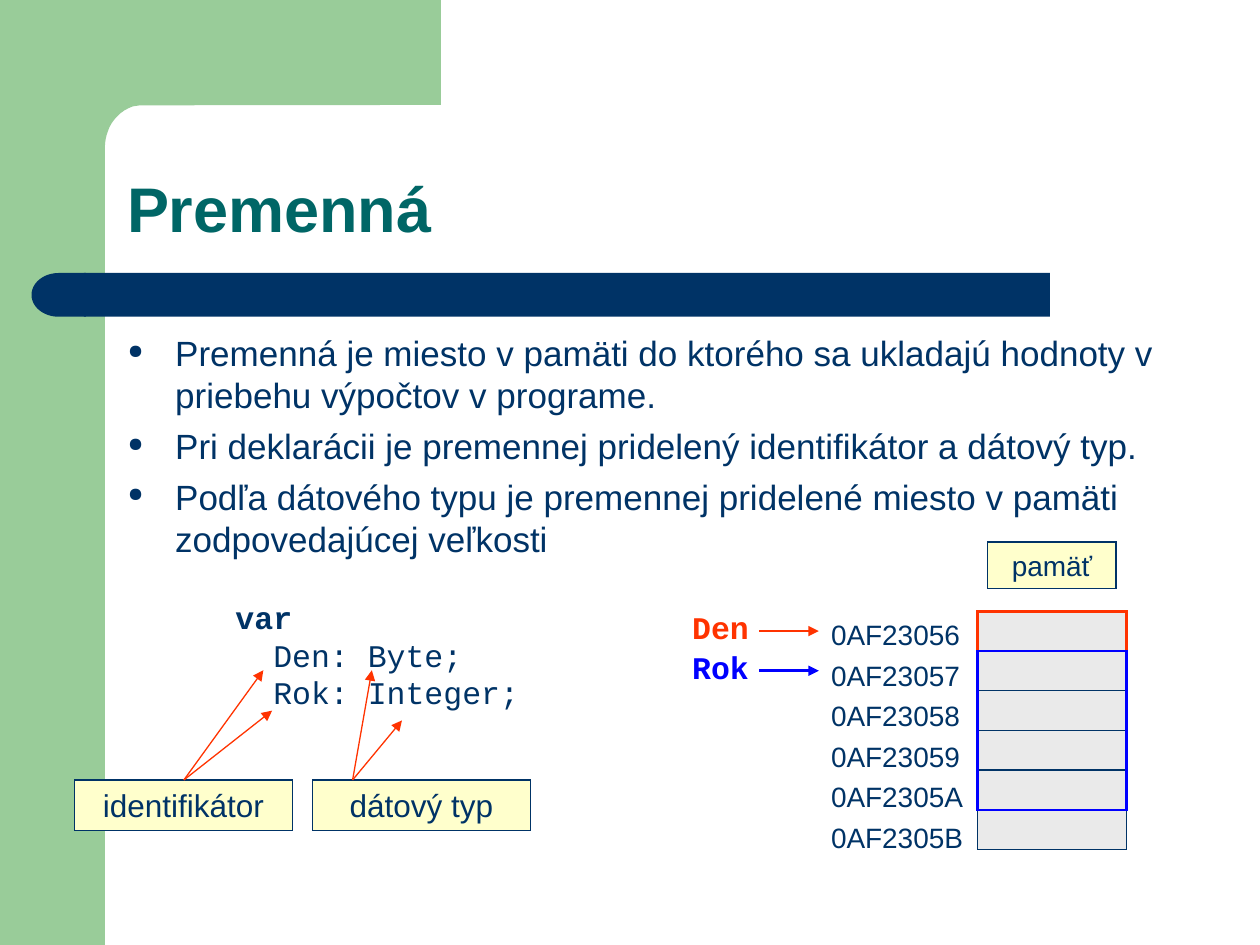
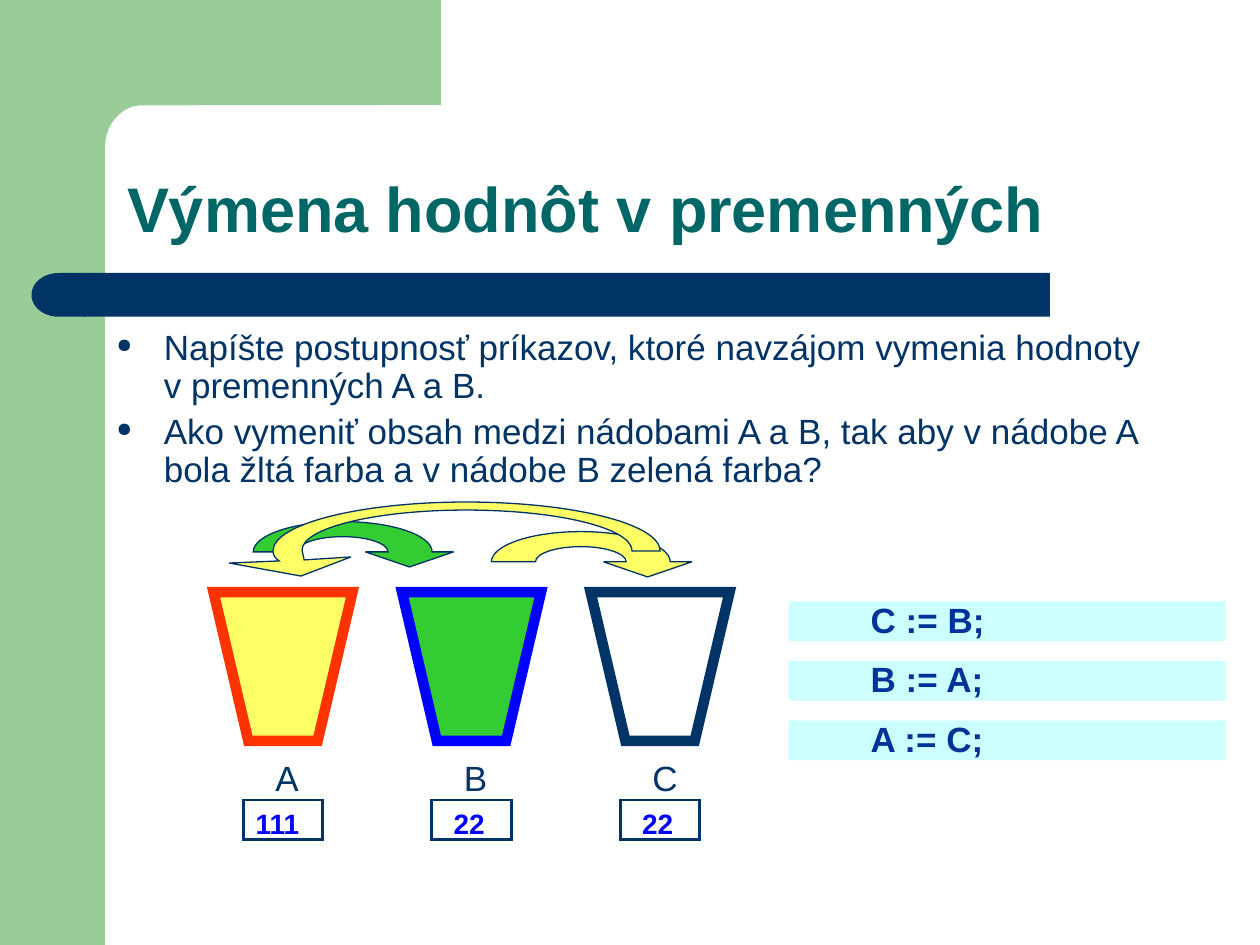
from lxml.etree import SubElement
from pptx import Presentation
from pptx.dml.color import RGBColor
from pptx.enum.shapes import MSO_CONNECTOR, MSO_SHAPE
from pptx.enum.text import MSO_ANCHOR, PP_ALIGN
from pptx.oxml.ns import qn
from pptx.util import Pt

COLORS = {
    "band": "99CC99", "navy": "003366", "title": "006666", "label": "FFFFCC",
    "red": "FF3300", "blue": "0000FF", "cell": "EAEAEA", "yellow": "FFFF66",
    "green": "33CC33", "white": "FFFFFF", "command": "CCFFFF", "code": "003399",
}
STYLES = {
    "title": {"name": "Arial", "size": Pt(36), "bold": True},
    "body": {"name": "Arial", "size": Pt(20), "bold": False},
    "command": {"name": "Arial", "size": Pt(20), "bold": True},
    "label": {"name": "Arial", "size": Pt(18), "bold": False},
    "memory": {"name": "Arial", "size": Pt(16), "bold": False},
    "value": {"name": "Arial", "size": Pt(16), "bold": True},
    "keyword": {"name": "Courier New", "size": Pt(18), "bold": True},
    "code": {"name": "Courier New", "size": Pt(18), "bold": False},
}
INSETS = {
    "margin_left": Pt(7.2), "margin_right": Pt(7.2),
    "margin_top": Pt(3.6), "margin_bottom": Pt(3.6), "word_wrap": True,
}
CORNER = [
    (216, 0), (216, 60), (47.5, 60.2), (44, 60.2), (40, 60.8),
    [(36.5, 62), (33.3, 64), (31, 66.5)],
    [(28.5, 69), (26.6, 72), (25.7, 75)],
    [(24.5, 78), (24.1, 81), (24, 83.5)],
    (24, 92), (0, 92), (0, 60), (0, 0),
]
SHORT_ARROW = [
    (77, 17.3), [(77, 12.5), (65.4, 8.6), (51.1, 8.6)],
    [(36.8, 8.6), (25.2, 12.5), (25.2, 17.3)], (0, 17.3),
    [(0, 7.8), (22.9, 0), (51.1, 0)],
    [(79.3, 0), (102.2, 7.8), (102.2, 17.3)],
    (114.5, 17.3), (89.3, 25.9), (64.1, 17.3),
]
LONG_ARROW = [
    (230.3, 28), [(230.3, 14.9), (188, 4.6), (135.4, 4.6)],
    [(83.4, 4.6), (41.7, 14.9), (41.7, 27.5)],
    (42.9, 33.1), (69.7, 31.4), (41.1, 42.3), (0, 34.9), (28.6, 33.7),
    [(26.3, 32), (25.1, 30.3), (25.1, 28)],
    [(25.1, 12.6), (74.9, 0), (135.4, 0)],
    [(196.6, 0), (246.3, 12.6), (246.3, 28)],
]
CUP = [(0, 0), (79.4, 0), (59.5, 85), (19.9, 85)]


def rgb(color):
    return RGBColor.from_string(COLORS[color])


def apply(target, values):
    for attribute, value in values.items():
        setattr(target, attribute, value)


def paint(shape, fill, line, weight):
    shape.shadow.inherit = False
    if fill:
        shape.fill.solid()
        shape.fill.fore_color.rgb = rgb(fill)
    else:
        shape.fill.background()
    if line:
        shape.line.color.rgb = rgb(line)
        shape.line.width = Pt(weight)
        SubElement(shape.line._get_or_add_ln(), qn("a:miter"), lim="800000")
    else:
        shape.line.fill.background()
    return shape


def block(slide, box, fill=None, line=None, weight=0.75, kind=MSO_SHAPE.RECTANGLE):
    shape = slide.shapes.add_shape(kind, *map(Pt, box))
    return paint(shape, fill, line, weight)


def write(frame, lines, style, color="navy", align=PP_ALIGN.LEFT):
    apply(frame, INSETS)
    paragraphs = []
    for index, line in enumerate(lines):
        paragraph = frame.add_paragraph() if index else frame.paragraphs[0]
        paragraph.alignment = align
        run = paragraph.add_run()
        run.text = line
        apply(run.font, STYLES[style])
        run.font.color.rgb = rgb(color)
        paragraphs.append(paragraph)
    return paragraphs


def text(slide, box, lines, style, color="navy"):
    frame = slide.shapes.add_textbox(*map(Pt, box)).text_frame
    return write(frame, lines, style, color)


def label(slide, box, caption, style):
    frame = block(slide, box, "label", "navy").text_frame
    frame.vertical_anchor = MSO_ANCHOR.TOP
    write(frame, [caption], style, align=PP_ALIGN.CENTER)


def arrow(slide, start, end, color, weight=0.75):
    pointer = slide.shapes.add_connector(
        MSO_CONNECTOR.STRAIGHT, *map(Pt, (*start, *end)))
    pointer.line.color.rgb = rgb(color)
    pointer.line.width = Pt(weight)
    SubElement(pointer.line._get_or_add_ln(), qn("a:tailEnd"), type="triangle")
    SubElement(pointer._element.spPr, qn("a:effectLst"))


def outline(slide, left, top, pieces, fill, line=None, weight=0.75):
    groups = [piece if isinstance(piece, list) else [piece] for piece in pieces]
    points = [(Pt(left + x), Pt(top + y)) for group in groups for x, y in group]
    builder = slide.shapes.build_freeform(*points[0], scale=1.0)
    builder.add_line_segments(points[1:], close=True)
    shape = paint(builder.convert_to_shape(), fill, line, weight)
    segments = iter(list(shape._element.iter(qn("a:lnTo"))))
    for group in groups[1:]:
        steps = [next(segments) for _ in group]
        if len(steps) == 3:
            curve = steps[0]
            curve.addprevious(bezier := curve.makeelement(qn("a:cubicBezTo")))
            for step in steps:
                bezier.append(step[0])
                step.getparent().remove(step)


def frame_slide(presentation, heading):
    slide = presentation.slides.add_slide(presentation.slide_layouts[6])
    block(slide, (0, 0, 60, 540), "band")
    outline(slide, 36, 0, CORNER, "band")
    block(slide, (48, 156, 552, 25), "navy")
    cap = block(slide, (18, 156, 31, 25), "navy", kind=MSO_SHAPE.FLOWCHART_DELAY)
    cap.rotation = 180
    title = text(slide, (65.5, 65.5, 612.7, 78.5), [heading], "title", "title")[0]
    title.line_spacing = 0.9
    slide.shapes[-1].text_frame.vertical_anchor = MSO_ANCHOR.BOTTOM
    return slide


def bullets(slide, box, lines, spacing=None):
    for paragraph in text(slide, box, lines, "body"):
        paragraph.space_before = Pt(5)
        if spacing:
            paragraph.line_spacing = spacing
        properties = paragraph._p.get_or_add_pPr()
        properties.set("marL", str(Pt(27)))
        properties.set("indent", str(-Pt(27)))
        tint = SubElement(properties, qn("a:buClr"))
        SubElement(tint, qn("a:srgbClr"), val=COLORS["navy"])
        SubElement(properties, qn("a:buSzPct"), val="56000")
        SubElement(properties, qn("a:buChar"), char="●")


def declaration(slide, left, top):
    code = text(slide, (left + 85, top + 0.4, 232.5, 72),
                ["var", "Den: Byte;", "Rok: Integer;"], "code")
    apply(code[0].runs[0].font, STYLES["keyword"])
    for paragraph in code[1:]:
        paragraph._p.get_or_add_pPr().set("marL", str(Pt(21.6)))
    captions = [
        ("identifikátor", 0, 62.6, [(113, 68.4), (108, 45.3)]),
        ("dátový typ", 136, 159, [(170, 45.3), (187.2, 74)]),
    ]
    for caption, offset, origin, targets in captions:
        label(slide, (left + offset, top + 108, 124.6, 28.8), caption, "label")
        for x, y in targets:
            arrow(slide, (left + origin, top + 108), (left + x, top + y), "red")


def memory(slide, left, top):
    row, cell_left, cell_width = 22.7, left + 170.2, 85
    label(slide, (left + 176, top - 39.6, 73.4, 26.6), "pamäť", "memory")
    for index in range(1, 6):
        block(slide, (cell_left, top + index * row, cell_width, row), "cell", "navy")
    block(slide, (cell_left, top, cell_width, row), "cell", "red", 1.5)
    block(slide, (cell_left, top + row, cell_width, 4 * row), None, "blue", 1.5)
    addresses = [f"0AF2305{digit}" for digit in "6789AB"]
    for paragraph in text(slide, (left + 79.4, top, 95, 142.5), addresses, "memory"):
        paragraph.space_before = Pt(4)
    for index, (name, color) in enumerate([("Den", "red"), ("Rok", "blue")]):
        y = top + index * row
        text(slide, (left, y - 5.4, 51, 28.8), [name], "keyword", color)
        arrow(slide, (left + 45.4, y + 11.3), (left + 79.5, y + 11.3), color, 1.5)


def containers(slide, left, top):
    outline(slide, left + 158.8, top - 34.6, SHORT_ARROW, "yellow", "navy")
    outline(slide, left + 22.7, top - 40.3, SHORT_ARROW, "green", "navy")
    outline(slide, left + 8.9, top - 51.5, LONG_ARROW, "yellow", "navy")
    cups = [
        ("A", "yellow", "red", "111", 0),
        ("B", "green", "blue", "22", 5.4),
        ("C", "white", "navy", "22", 5.4),
    ]
    for index, (name, fill, rim, value, shift) in enumerate(cups):
        x = left + index * 107.75
        outline(slide, x, top, CUP, fill, rim, 6)
        text(slide, (x + 28.2, top + 90.3, 40, 31.7), [name], "body")
        block(slide, (x + 17, top + 118.8, 45.4, 22.7), None, "navy", 1.5)
        text(slide, (x + 17 + shift, top + 119, 45.4, 26.6), [value], "value", "blue")


def commands(slide, left, top):
    for index, command in enumerate(["C := B;", "B := A;", "A := C;"]):
        y = top + index * 34
        block(slide, (left, y, 249.5, 22.7), "command")
        text(slide, (left + 39.8, y - 5.3, 91, 31.7), [command], "command", "code")


def variable_slide(presentation):
    slide = frame_slide(presentation, "Premenná")
    bullets(slide, (66, 186, 605.5, 140.4), [
        "Premenná je miesto v pamäti do ktorého sa ukladajú hodnoty v priebehu výpočtov v programe.",
        "Pri deklarácii je premennej pridelený identifikátor a dátový typ.",
        "Podľa dátového typu je premennej pridelené miesto v pamäti zodpovedajúcej veľkosti",
    ])
    declaration(slide, 42.5, 337.7)
    memory(slide, 388.4, 349.3)


def swap_slide(presentation):
    slide = frame_slide(presentation, "Výmena hodnôt v premenných")
    bullets(slide, (59.5, 185.2, 605.5, 102.2), [
        "Napíšte postupnosť príkazov, ktoré navzájom vymenia hodnoty v premenných A a B.",
        "Ako vymeniť obsah medzi nádobami A a B, tak aby v nádobe A bola žltá farba a v nádobe B zelená farba?",
    ], 0.9)
    containers(slide, 122, 338.4)
    commands(slide, 450.7, 343.7)


def main():
    presentation = Presentation()
    presentation.slide_width, presentation.slide_height = Pt(720), Pt(540)
    variable_slide(presentation)
    swap_slide(presentation)
    presentation.save("out.pptx")


if __name__ == "__main__":
    main()
